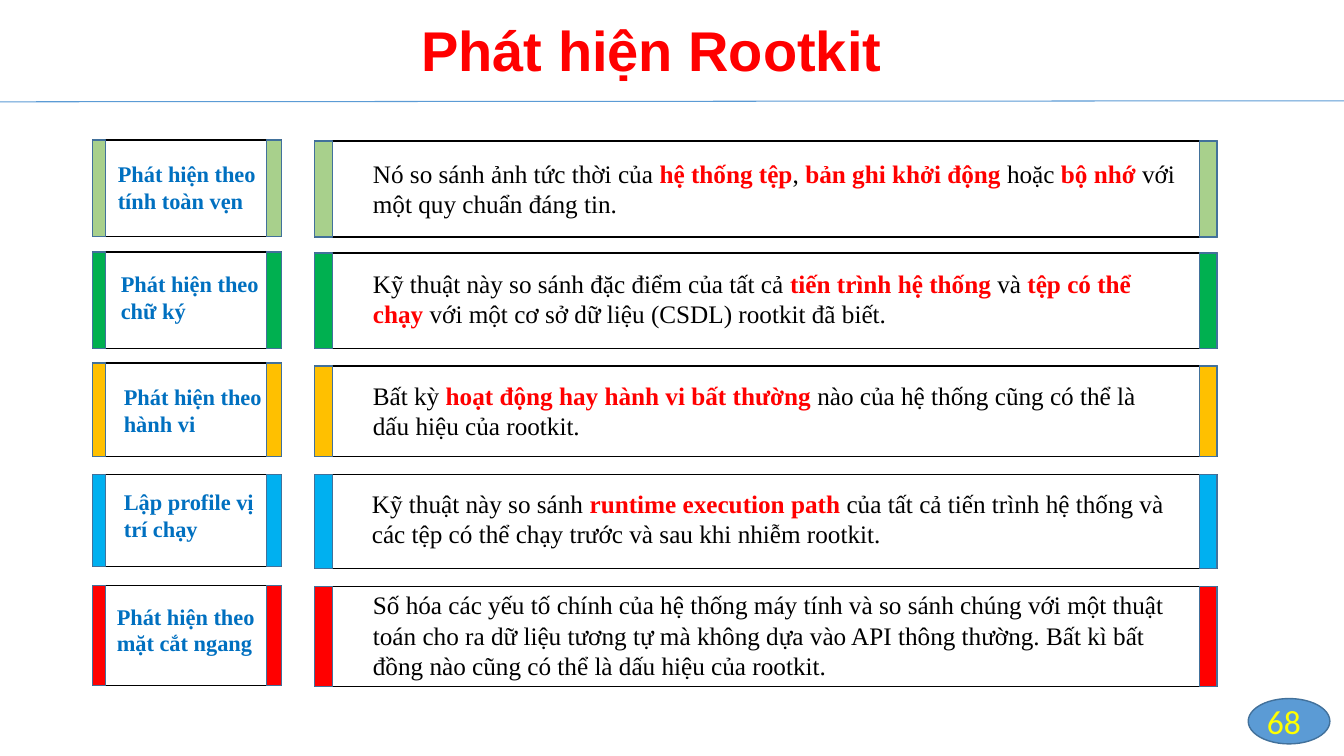
from pptx import Presentation
from pptx.dml.color import RGBColor
from pptx.enum.shapes import MSO_CONNECTOR, MSO_SHAPE
from pptx.enum.text import MSO_ANCHOR, MSO_AUTO_SIZE, PP_ALIGN
from pptx.oxml.ns import qn
from pptx.util import Inches, Pt
from lxml import etree

RECTANGLE = MSO_SHAPE.RECTANGLE
OVAL = MSO_SHAPE.OVAL
STRAIGHT = MSO_CONNECTOR.STRAIGHT
MIDDLE = MSO_ANCHOR.MIDDLE
FIT_TEXT = MSO_AUTO_SIZE.SHAPE_TO_FIT_TEXT
LEFT = PP_ALIGN.LEFT
RIGHT = PP_ALIGN.RIGHT

SERIF = "Times New Roman"
BLACK, RED, YELLOW = "000000", "FF0000", "FFFF00"
LABEL_BLUE, ACCENT_BLUE, EDGE_BLUE = "0070C0", "5B9BD5", "42719B"

LABEL_LEFT, LABEL_WIDTH = 0.92, 1.87
DETAIL_LEFT, DETAIL_WIDTH = 3.12, 8.95

METHODS = [
    {"color": "A8D08C", "label": "Phát hiện theo tính toàn vẹn",
     "label_card": (1.39, 0.96), "label_text": (1.07, 1.54, 1.68, 0.64),
     "detail": "Nó so sánh ảnh tức thời của *hệ thống tệp*, *bản ghi khởi động *hoặc "
               "*bộ nhớ *với một quy chuẩn đáng tin.",
     "detail_card": (1.4, 0.95), "detail_text": (3.6, 1.52, 8.18, 0.71)},
    {"color": "00B050", "label": "Phát hiện theo chữ ký",
     "label_card": (2.5, 0.96), "label_text": (1.1, 2.63, 1.62, 0.64),
     "detail": "Kỹ thuật này so sánh đặc điểm của tất cả *tiến trình hệ thống *và "
               "*tệp có thể chạy *với một cơ sở dữ liệu (CSDL) rootkit đã biết.",
     "detail_card": (2.51, 0.95), "detail_text": (3.6, 2.61, 8.18, 0.71)},
    {"color": "FFC000", "label": "Phát hiện theo hành vi",
     "label_card": (3.6, 0.93), "label_text": (1.13, 3.75, 1.63, 0.64),
     "detail": "Bất kỳ *hoạt động hay hành vi bất thường *nào của hệ thống cũng "
               "có thể là dấu hiệu của rootkit.",
     "detail_card": (3.63, 0.9), "detail_text": (3.6, 3.72, 8.18, 0.71)},
    {"color": "00B0F0", "label": "Lập profile vị trí chạy",
     "label_card": (4.71, 0.91), "label_text": (1.13, 4.79, 1.59, 0.64),
     "detail": "Kỹ thuật này so sánh *runtime execution path* của tất cả tiến trình "
               "hệ thống và các tệp có thể chạy trước và sau khi nhiễm rootkit.",
     "detail_card": (4.71, 0.93), "detail_text": (3.59, 4.79, 8.18, 0.71)},
    {"color": "FF0000", "label": "Phát hiện theo mặt cắt ngang",
     "label_card": (5.81, 0.99), "label_text": (1.06, 5.93, 1.59, 0.64),
     "detail": "Số hóa các yếu tố chính của hệ thống máy tính và so sánh chúng với "
               "một thuật toán cho ra dữ liệu tương tự mà không dựa vào API thông "
               "thường. Bất kì bất đồng nào cũng có thể là dấu hiệu của rootkit.",
     "detail_card": (5.82, 0.99), "detail_text": (3.6, 5.8, 8.18, 1.01)},
]


def rgb(value):
    """Turn a hex string into a colour."""
    return RGBColor.from_string(value)


def add_box(shapes, kind, box, fill, line):
    """Add a preset shape with a thin outline and an optional fill."""
    shape = shapes.add_shape(kind, *map(Inches, box))
    shape.shadow.inherit = False
    if fill:
        shape.fill.solid()
        shape.fill.fore_color.rgb = rgb(fill)
    else:
        shape.fill.background()
    shape.line.color.rgb = rgb(line)
    shape.line.width = Pt(1)


def add_text(shapes, box, text, font, size, color, bold=False, align=LEFT):
    """Add wrapped text; parts between asterisks are bold and red."""
    text_box = shapes.add_textbox(*map(Inches, box))
    text_frame = text_box.text_frame
    text_frame.word_wrap = True
    paragraph = text_frame.paragraphs[0]
    paragraph.alignment = align
    for index, part in enumerate(text.split("*")):
        emphasized = index % 2 == 1
        run = paragraph.add_run()
        run.text = part
        run.font.name = font
        run.font.size = Pt(size)
        run.font.bold = bold or emphasized
        run.font.color.rgb = rgb(RED if emphasized else color)
    return text_frame


def add_card(slide, box, bar_widths, color, text_box, text, size, text_color, bold):
    """Group a text with its frame and the coloured bars at both ends."""
    left, top, width, height = box
    left_bar, right_bar = bar_widths
    shapes = slide.shapes.add_group_shape().shapes
    text_frame = add_text(shapes, text_box, text, SERIF, size, text_color, bold)
    text_frame.auto_size = FIT_TEXT
    add_box(shapes, RECTANGLE, box, None, BLACK)
    add_box(shapes, RECTANGLE, (left, top, left_bar, height), color, EDGE_BLUE)
    right_box = (left + width - right_bar, top, right_bar, height)
    add_box(shapes, RECTANGLE, right_box, color, EDGE_BLUE)


def add_method(slide, method):
    """Add one detection method: its label card and its detail card."""
    label_top, label_height = method["label_card"]
    add_card(slide, (LABEL_LEFT, label_top, LABEL_WIDTH, label_height), (0.13, 0.15),
             method["color"], method["label_text"], method["label"], 16, LABEL_BLUE, True)
    detail_top, detail_height = method["detail_card"]
    add_card(slide, (DETAIL_LEFT, detail_top, DETAIL_WIDTH, detail_height), (0.18, 0.17),
             method["color"], method["detail_text"], method["detail"], 18, BLACK, False)


def add_header(slide, box):
    """Add the title and the rule below it."""
    left, top, width, height = box
    rule_top = top + height
    rule = slide.shapes.add_connector(
        STRAIGHT, Inches(left), Inches(rule_top), Inches(left + width), Inches(rule_top - 0.01))
    rule.line.color.rgb = rgb(ACCENT_BLUE)
    rule.line.width = Pt(0.75)
    etree.SubElement(rule._element.spPr, qn("a:effectLst"))
    title = add_text(slide.shapes, (left + 4.08, top + 0.11, 4.89, 0.77),
                     "Phát hiện Rootkit", "Arial", 40, RED, True)
    title.auto_size = FIT_TEXT


def add_page_number(slide, box):
    """Add the page number on its oval."""
    left, top, width, height = box
    add_box(slide.shapes, OVAL, box, ACCENT_BLUE, EDGE_BLUE)
    number_box = (left + width - 3.19, top + 0.02, 3, 0.4)
    number = add_text(slide.shapes, number_box, "68", "Calibri", 24, YELLOW, align=RIGHT)
    number.vertical_anchor = MIDDLE


def main():
    """Build the slide and save it."""
    presentation = Presentation()
    presentation.slide_width = Inches(13.33)
    presentation.slide_height = Inches(7.5)
    slide = presentation.slides.add_slide(presentation.slide_layouts[6])
    add_header(slide, (0, 0, 13.33, 1.01))
    for method in METHODS:
        add_method(slide, method)
    add_page_number(slide, (12.38, 6.93, 0.81, 0.45))
    presentation.save("out.pptx")


if __name__ == "__main__":
    main()
